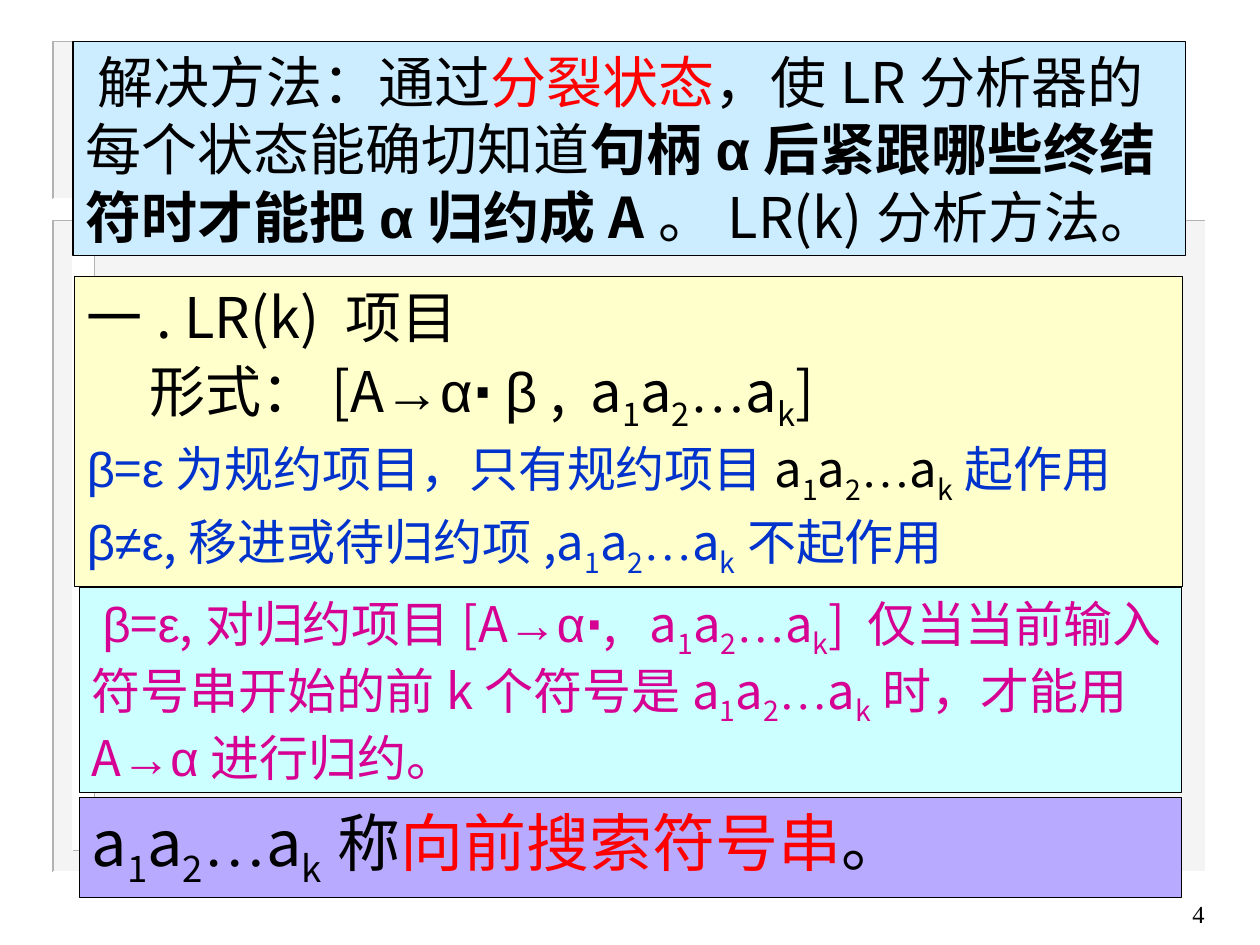
"""Build the slide on LR(k) items and lookahead strings."""
from itertools import groupby

from lxml.etree import SubElement
from pptx import Presentation
from pptx.dml.color import RGBColor
from pptx.enum.shapes import MSO_SHAPE
from pptx.enum.text import MSO_ANCHOR, MSO_AUTO_SIZE, PP_ALIGN
from pptx.oxml.ns import qn
from pptx.util import Inches, Pt

THEME = {
    "black": "000000", "red": "FF0000", "blue": "0033CC", "pink": "D60093",
    "sky": "CCECFF", "cream": "FFFFCC", "aqua": "CCFFFF", "lilac": "B8AAFF",
    "panel": "EAEAEA", "edge": "B2B2B2", "white": "FFFFFF",
    "huge": 36, "large": 32, "body": 28, "small": 14,
    "sans": "Noto Sans CJK SC", "greek": "Arial", "serif": "Times New Roman",
}
FONTS = {**dict.fromkeys("αβε→≠⋅", "greek"), "…": "serif"}
SUBS = {"₁": "1", "₂": "2", "ₖ": "k"}
ROW = "a₁a₂…aₖ"


def write(para, text, size="body", color="black", bold=False, font="sans"):
    def kind(char):
        return FONTS.get(char, font), char in SUBS, bold or char == "⋅"

    for (face, low, heavy), chars in groupby(text, kind):
        run = para.add_run()
        run.text = "".join(SUBS.get(char, char) for char in chars)
        run.font.size = Pt(THEME[size])
        run.font.bold = heavy
        run.font.color.rgb = RGBColor.from_string(THEME[color])
        run.font.name = THEME[face]
        props = run._r.get_or_add_rPr()
        SubElement(props, qn("a:ea"), typeface=THEME[face])
        if low:
            props.set("baseline", "-25000")


def paint(shape, fill=None, line=None, width=1):
    shape.shadow.inherit = False
    if fill:
        shape.fill.solid()
        shape.fill.fore_color.rgb = RGBColor.from_string(THEME[fill])
    else:
        shape.fill.background()
    if line:
        shape.line.color.rgb = RGBColor.from_string(THEME[line])
        shape.line.width = Pt(width)
    else:
        shape.line.fill.background()


deck = Presentation()
deck.slide_width, deck.slide_height = Inches(10), Inches(7.5)
slide = deck.slides.add_slide(deck.slide_layouts[6])
shapes = slide.shapes

panels = [
    (0.42, 1.75, 9.15, 5.17, "panel", "edge", "white"),
    (0.58, 1.91, 0.17, 4.84, "white", "white", "edge"),
    (0.42, 0.33, 0.33, 1.25, "panel", "edge", "white"),
]
for left, top, width, height, fill, upper, lower in panels:
    panel = shapes.add_shape(MSO_SHAPE.RECTANGLE, *map(Inches, (left, top, width, height)))
    paint(panel, fill)
    if fill == "panel":
        tint = panel._element.spPr.find(".//" + qn("a:srgbClr"))
        SubElement(tint, qn("a:alpha"), val="50000")
    right, base = left + width, top + height
    for corner, color in (((left, top), upper), ((right, base), lower)):
        points = [(right, top), corner, (left, base)]
        points = [(Inches(x), Inches(y)) for x, y in points]
        path = shapes.build_freeform(*points[0])
        path.add_line_segments(points[1:], close=False)
        paint(path.convert_to_shape(), line=color)

boxes = [
    (0.58, 0.33, 8.83, 1.7, "sky", 0.75, "large", [
        (20, 0, 0, [
            (" 解决方法：通过", "black", False),
            ("分裂状态", "red", False),
            ("，使LR分析器的每个状态能确切知道", "black", False),
            ("句柄α后紧跟哪些终结符时才能把α归约成A", "black", True),
            ("。LR(k)分析方法。", "black", False)]),
    ]),
    (0.59, 2.19, 8.79, 2.46, "cream", 0.25, "large", [
        (4, 0, 0, [("一. LR(k) 项目", "black", False)]),
        (4, 0.5, 4.1, [(f"形式：[A→α⋅β ,\t{ROW}]", "black", False)]),
        (3.5, 0, 0, [
            ("β=ε为规约项目，只有规约项目", "blue", False),
            (ROW, "black", False),
            ("起作用", "blue", False)]),
        (3.5, 0, 0, [(f"β≠ε,移进或待归约项,{ROW}不起作用", "blue", False)]),
    ]),
    (0.63, 4.66, 8.75, 1.63, "aqua", 0.5, "body", [
        (3.5, 0, 4.43, [
            (f" β=ε,对归约项目[A→α⋅,\t{ROW}] 仅当当前输入符号串开始的前k个符号是"
             f"{ROW}时，才能用A→α进行归约。", "pink", False)]),
    ]),
    (0.63, 6.33, 8.75, 0.79, "lilac", 0.5, "huge", [
        (4.5, 0, 0, [
            (f"{ROW}称", "black", False),
            ("向前搜索符号串", "red", False),
            ("。", "black", False)]),
    ]),
]
for left, top, width, height, fill, line, size, paras in boxes:
    box = shapes.add_shape(MSO_SHAPE.RECTANGLE, *map(Inches, (left, top, width, height)))
    paint(box, fill, "black", line)
    frame = box.text_frame
    frame.word_wrap = True
    frame.auto_size = MSO_AUTO_SIZE.SHAPE_TO_FIT_TEXT
    frame.vertical_anchor = MSO_ANCHOR.TOP
    for index, (space, indent, stop, parts) in enumerate(paras):
        para = frame.add_paragraph() if index else frame.paragraphs[0]
        para.alignment = PP_ALIGN.LEFT
        para.space_before = Pt(space)
        props = para._p.get_or_add_pPr()
        if indent:
            props.set("indent", str(Inches(indent)))
        if stop:
            tabs = SubElement(props, qn("a:tabLst"))
            SubElement(tabs, qn("a:tab"), pos=str(Inches(stop)), algn="l")
        for text, color, bold in parts:
            blue = size == "large" and space == 3.5
            write(para, text, size="body" if blue else size, color=color, bold=bold)

page = shapes.add_textbox(Inches(7.58), Inches(7), Inches(2.08), Inches(0.5))
page.text_frame.word_wrap = True
page.text_frame.vertical_anchor = MSO_ANCHOR.MIDDLE
page.text_frame.paragraphs[0].alignment = PP_ALIGN.RIGHT
write(page.text_frame.paragraphs[0], "4", size="small", font="serif")

deck.save("out.pptx")
